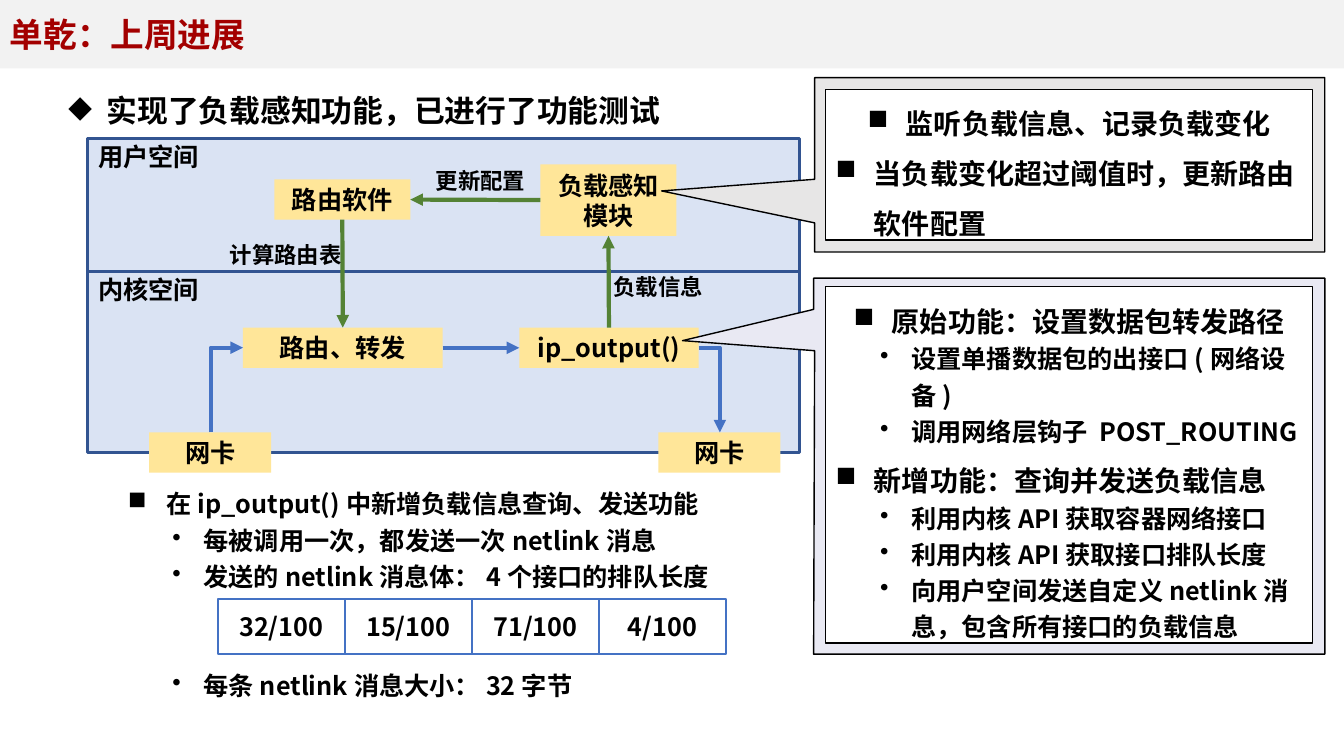
from lxml import etree
from pptx import Presentation
from pptx import util as u
from pptx.dml.color import RGBColor
from pptx.enum import shapes, text
from pptx.oxml import ns

COLORS = {"bar": "F2F2F2", "title": "A30000", "text": "000000", "white": "FFFFFF",
          "space": "DAE3F3", "border": "325491", "node": "FFE699", "blue": "4472C4",
          "green": "548235", "lilac": "E9E9F3", "gray": "E7E6E6"}
FONT = "Noto Sans CJK SC"
BULLETS = {"◆": (0.38, -0.38, 1.5), "■": (0.38, -0.38, 1.5), "•": (0.75, -0.31, 1.2)}
CENTER = text.PP_ALIGN.CENTER
RECT = shapes.MSO_SHAPE.RECTANGLE


def rgb(name):
    """Return the named colour."""
    return RGBColor.from_string(COLORS[name])


def add_text(p, words, size=18, color="text", align=None, bullet=None, before=0):
    """Fill a paragraph with formatted text."""
    if bullet:
        margin, indent, spacing = BULLETS[bullet]
        pPr = p._p.get_or_add_pPr()
        pPr.set("marL", str(u.Inches(margin)))
        pPr.set("indent", str(u.Inches(indent)))
        etree.SubElement(pPr, ns.qn("a:buChar")).set("char", bullet)
        p.line_spacing = spacing
    if before:
        p.space_before = u.Pt(before)
    if align is not None:
        p.alignment = align
    r = p.add_run()
    r.text = words
    r.font.size, r.font.bold, r.font.name = u.Pt(size), True, FONT
    r.font.color.rgb = rgb(color)
    etree.SubElement(r._r.get_or_add_rPr(), ns.qn("a:ea")).set("typeface", FONT)


class Deck:
    """Draw styled elements on the current slide."""

    def __init__(self, prs):
        """Start a blank slide."""
        self.s = prs.slides.add_slide(prs.slide_layouts[6])

    def paint(self, sp, fill, line=None, width=1):
        """Set the fill and outline of a shape."""
        sp.shadow.inherit = False
        sp.fill.solid()
        sp.fill.fore_color.rgb = rgb(fill)
        if line:
            sp.line.color.rgb = rgb(line)
            sp.line.width = u.Pt(width)
        else:
            sp.line.fill.background()
        return sp

    def box(self, x, y, w, h, fill, line=None, width=1, kind=RECT):
        """Add a filled preset shape."""
        sp = self.s.shapes.add_shape(kind, *map(u.Inches, (x, y, w, h)))
        return self.paint(sp, fill, line, width)

    def node(self, words, x, y, w, h=0.4, fill="node", line=None, width=1):
        """Add a box with one centred caption."""
        sp = self.box(x, y, w, h, fill, line, width)
        sp.text_frame.vertical_anchor = text.MSO_ANCHOR.MIDDLE
        add_text(sp.text_frame.paragraphs[0], words, align=CENTER)
        return sp

    def text_box(self, x, y, w, h, wrap=True):
        """Add a text box and return its frame."""
        tf = self.s.shapes.add_textbox(*map(u.Inches, (x, y, w, h))).text_frame
        tf.word_wrap = wrap
        return tf

    def label(self, words, x, y, w, h=0.37, size=16):
        """Add a centred label."""
        add_text(self.text_box(x, y, w, h, False).paragraphs[0], words, size, align=CENTER)

    def bullets(self, tf, items):
        """Write (bullet, size, words, space before) rows into a frame."""
        for i, (bullet, size, words, before) in enumerate(items):
            p = tf.add_paragraph() if i else tf.paragraphs[0]
            add_text(p, words, size, bullet=bullet, before=before)

    def panel(self, y, h, items):
        """Add the white bullet panel inside a callout."""
        tf = self.box(8.19, y, 4.83, h, "white", "text").text_frame
        tf.word_wrap = True
        tf.vertical_anchor = text.MSO_ANCHOR.MIDDLE
        self.bullets(tf, items)

    def arrow(self, color, start, end, kind=shapes.MSO_CONNECTOR.STRAIGHT):
        """Add a connector with an arrowhead at its end."""
        c = self.s.shapes.add_connector(kind, *map(u.Inches, start + end))
        c.line.color.rgb = rgb(color)
        c.line.width = u.Pt(3)
        etree.SubElement(c.line._get_or_add_ln(), ns.qn("a:tailEnd")).set("type", "triangle")
        etree.SubElement(c._element.spPr, ns.qn("a:effectLst"))
        return c

    def link(self, color, a, a_side, b, b_side):
        """Join two boxes with a straight arrow."""
        c = self.arrow(color, (0, 0), (1, 1))
        c.begin_connect(a, a_side)
        c.end_connect(b, b_side)

    def bend(self, start, end, turn=0):
        """Add a one-corner arrow, turned by the given degrees."""
        c = self.arrow("blue", start, end, shapes.MSO_CONNECTOR.ELBOW)
        spPr = c._element.spPr
        spPr.find(ns.qn("a:prstGeom")).set("prst", "bentConnector2")
        if turn:
            spPr.find(ns.qn("a:xfrm")).set("rot", str(turn * 60000))

    def outline(self, points, fill, line):
        """Add a closed polygon."""
        pts = [tuple(map(u.Inches, pt)) for pt in points]
        fb = self.s.shapes.build_freeform(*pts[0])
        fb.add_line_segments(pts[1:], close=True)
        self.paint(fb.convert_to_shape(), fill, line)


def main():
    """Build and save the slide."""
    prs = Presentation()
    prs.slide_width, prs.slide_height = u.Inches(13.33), u.Inches(7.5)
    d = Deck(prs)

    bar = d.box(0, 0, 13.33, 0.68, "bar")
    bar.text_frame.vertical_anchor = text.MSO_ANCHOR.MIDDLE
    add_text(bar.text_frame.paragraphs[0], "单乾：上周进展", 24, "title", text.PP_ALIGN.LEFT)
    d.bullets(d.text_box(0.58, 0.68, 6.52, 0.59),
              [("◆", 22, "实现了负载感知功能，已进行了功能测试", 0)])

    for words, y, h in (("用户空间", 1.37, 1.32), ("内核空间", 2.69, 1.8)):
        d.box(0.87, y, 7.06, h, "space", "border", 2.25)
        d.label(words, 0.87, y - 0.02, 1.21, 0.4, 18)

    for x in (1.48, 6.53):
        d.node("网卡", x, 4.29, 1.21)
    forward = d.node("路由、转发", 2.41, 3.25, 1.98)
    output = d.node("ip_output()", 5.15, 3.25, 1.78)
    sensor = d.node("负载感知模块", 5.36, 1.63, 1.35, 0.71)
    router = d.node("路由软件", 2.72, 1.78, 1.35)

    d.link("blue", forward, 3, output, 1)
    d.link("green", output, 0, sensor, 2)
    d.link("green", sensor, 1, router, 3)
    d.link("green", router, 2, forward, 0)
    d.bend((2.67, 4.03), (1.83, 3.71), 90)
    d.bend((6.93, 3.45), (7.14, 4.29))
    d.label("负载信息", 5.96, 2.66, 1.14)
    d.label("更新配置", 4.16, 1.61, 1.21)
    d.label("计算路由表", 2.16, 2.34, 1.35)

    d.outline([(8.07, 2.76), (13.14, 2.76), (13.14, 6.49), (8.07, 6.49),
               (8.08, 3.48), (6.77, 3.38), (8.07, 3.07)], "lilac", "text")
    d.panel(2.84, 3.54, [
        ("■", 20, "原始功能：设置数据包转发路径", 0),
        ("•", 18, "设置单播数据包的出接口(网络设备)", 0),
        ("•", 18, "调用网络层钩子 POST_ROUTING", 0),
        ("■", 20, "新增功能：查询并发送负载信息", 0),
        ("•", 18, "利用内核API获取容器网络接口", 0),
        ("•", 18, "利用内核API获取接口排队长度", 0),
        ("•", 18, "向用户空间发送自定义netlink消息，包含所有接口的负载信息", 0)])

    callout = d.box(8.08, 0.77, 5.06, 1.73, "gray", "text",
                    kind=shapes.MSO_SHAPE.RECTANGULAR_CALLOUT)
    callout.adjustments[0], callout.adjustments[1] = -0.8, 0.15
    d.panel(0.89, 1.49, [
        ("■", 20, "监听负载信息、记录负载变化", 0),
        ("■", 20, "当负载变化超过阈值时，更新路由软件配置", 0)])

    d.bullets(d.text_box(1.17, 4.65, 6.72, 2.34), [
        ("■", 18, "在ip_output()中新增负载信息查询、发送功能", 0),
        ("•", 18, "每被调用一次，都发送一次netlink消息", 0),
        ("•", 18, "发送的netlink消息体：4个接口的排队长度", 0),
        ("•", 18, "每条netlink消息大小：32字节", 52)])
    for i, load in enumerate(("32/100", "15/100", "71/100", "4/100")):
        d.node(load, 2.16 + 1.26 * i, 5.94, 1.26, 0.55, "white", "blue", 1.5)

    prs.save("out.pptx")


if __name__ == "__main__":
    main()
